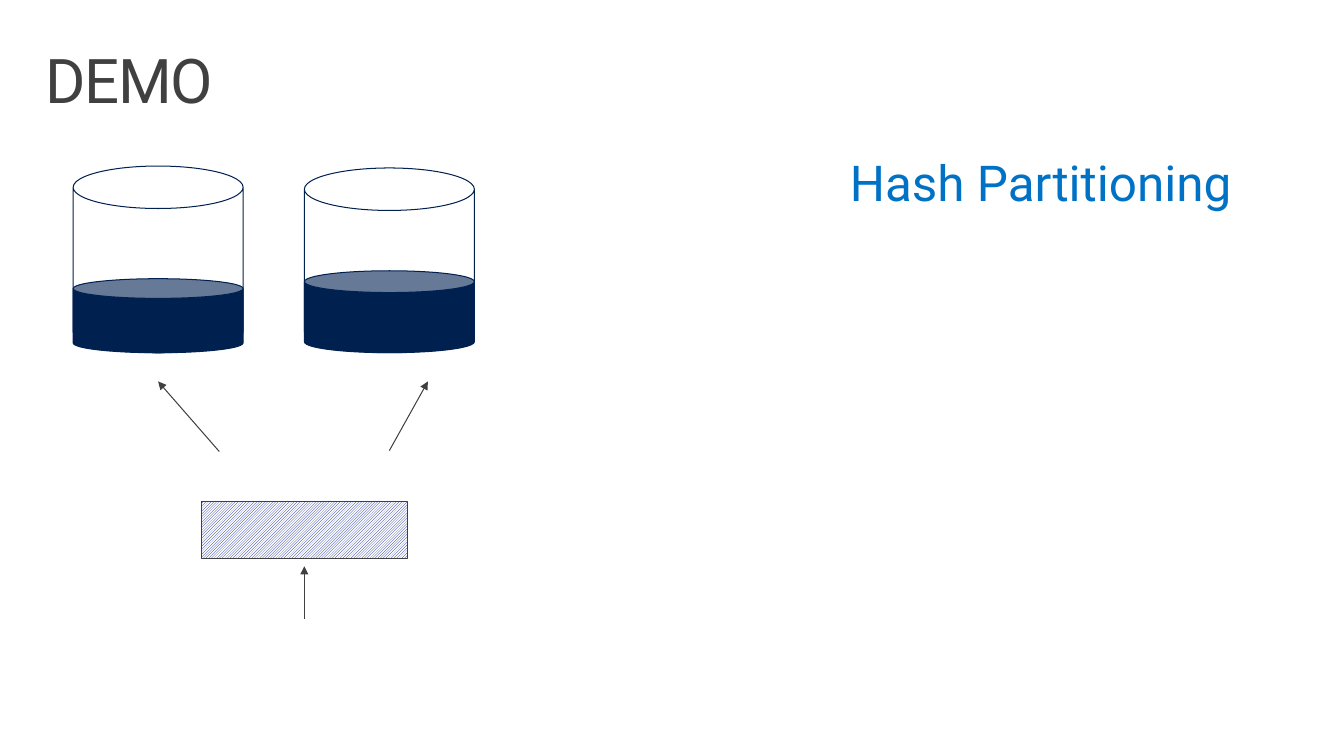
import pptx
import pptx.dml.color
import pptx.enum.dml
import pptx.enum.shapes
import pptx.enum.text
import pptx.util
from dataclasses import dataclass
from lxml import etree

SHAPE = pptx.enum.shapes.MSO_SHAPE
DRAWING = "{http://schemas.openxmlformats.org/drawingml/2006/main}"


@dataclass(frozen=True)
class Theme:
    font: str = "Roboto"
    ink: str = "404040"
    accent: str = "0072C6"
    tank: str = "002050"
    hatch: str = "00188F"
    paper: str = "FFFFFF"
    title_size: float = 44.9
    heading_size: float = 36
    line_width: float = 0.75


THEME = Theme()

# Content: text, frame, size, colour, letter spacing in hundredths of a point
TEXTS = [
    ("Hash Partitioning", (8.44, 1.51, 4.86, 5.52), THEME.heading_size, THEME.accent, 0),
    ("DEMO", (0.3, 0.41, 13, 1), THEME.title_size, THEME.ink, -100),
]
# Each tank: top of the glass, top of the liquid
TANKS = [(1.68, 2.82), (1.7, 2.74)]

# Layout: two tank columns above a centred hash block
SLIDE_WIDTH, SLIDE_HEIGHT = 13.6, 7.65
TANK_LEFT, TANK_STEP, TANK_WIDTH, TANK_BOTTOM = 0.74, 2.34, 1.72, 3.57
LIQUID_RIM = 0.266
BLOCK = (2.04, 5.07, 2.08, 0.58)
block_middle = BLOCK[0] + BLOCK[2] / 2
first_tank_middle = TANK_LEFT + TANK_WIDTH / 2
second_tank_middle = first_tank_middle + TANK_STEP
ARROW_TOP = 3.86
ARROWS = [
    ((block_middle, 6.26), (block_middle, 5.73)),
    ((second_tank_middle, 4.56), (4.33, ARROW_TOP)),
    ((2.22, 4.57), (first_tank_middle, ARROW_TOP)),
]


def inches(values):
    return [pptx.util.Inches(value) for value in values]


def colour(code):
    return pptx.dml.color.RGBColor.from_string(code)


def style_line(line, code):
    line.color.rgb = colour(code)
    line.width = pptx.util.Pt(THEME.line_width)


def add_text(page, text, frame, size, code, spacing):
    box = page.shapes.add_textbox(*inches(frame)).text_frame
    box.word_wrap = True
    box.vertical_anchor = pptx.enum.text.MSO_ANCHOR.TOP
    box.margin_left = box.margin_right = pptx.util.Inches(0.16)
    box.margin_top = box.margin_bottom = pptx.util.Inches(0.1)
    para = box.paragraphs[0]
    para.line_spacing = 0.9
    para.font.name = THEME.font
    para.font.size = pptx.util.Pt(size)
    para.font.color.rgb = colour(code)
    span = para.add_run()
    span.text = text
    if spacing:
        span.font._element.set("spc", str(spacing))


def add_outline(page, kind, frame, line_code):
    shape = page.shapes.add_shape(kind, *inches(frame))
    shape.shadow.inherit = False
    shape.fill.background()
    style_line(shape.line, line_code)
    return shape


def add_tank(page, column, glass_top, liquid_top):
    left = TANK_LEFT + column * TANK_STEP
    for top in (glass_top, liquid_top):
        frame = (left, top, TANK_WIDTH, TANK_BOTTOM - top)
        can = add_outline(page, SHAPE.CAN, frame, THEME.tank)
    # The last can drawn is the liquid
    can.adjustments[0] = LIQUID_RIM
    can.fill.solid()
    can.fill.fore_color.rgb = colour(THEME.tank)


def add_arrow(page, start, end):
    straight = pptx.enum.shapes.MSO_CONNECTOR.STRAIGHT
    arrow = page.shapes.add_connector(straight, *inches(start + end))
    style_line(arrow.line, THEME.ink)
    properties = arrow._element.spPr
    etree.SubElement(properties.find(DRAWING + "ln"), DRAWING + "tailEnd", type="triangle")
    etree.SubElement(properties, DRAWING + "effectLst")


def main():
    deck = pptx.Presentation()
    deck.slide_width, deck.slide_height = inches((SLIDE_WIDTH, SLIDE_HEIGHT))
    page = deck.slides.add_slide(deck.slide_layouts[6])
    page.background.fill.solid()
    page.background.fill.fore_color.rgb = colour(THEME.paper)

    for item in TEXTS:
        add_text(page, *item)

    # Hatched hash block
    block = add_outline(page, SHAPE.RECTANGLE, BLOCK, THEME.ink)
    block.fill.patterned()
    block.fill.pattern = pptx.enum.dml.MSO_PATTERN.DARK_UPWARD_DIAGONAL
    block.fill.fore_color.rgb = colour(THEME.hatch)
    block.fill.back_color.rgb = colour(THEME.paper)

    # Tanks and the arrows that feed them
    for column, tops in enumerate(TANKS):
        add_tank(page, column, *tops)
    for start, end in ARROWS:
        add_arrow(page, start, end)

    deck.save("out.pptx")


if __name__ == "__main__":
    main()
